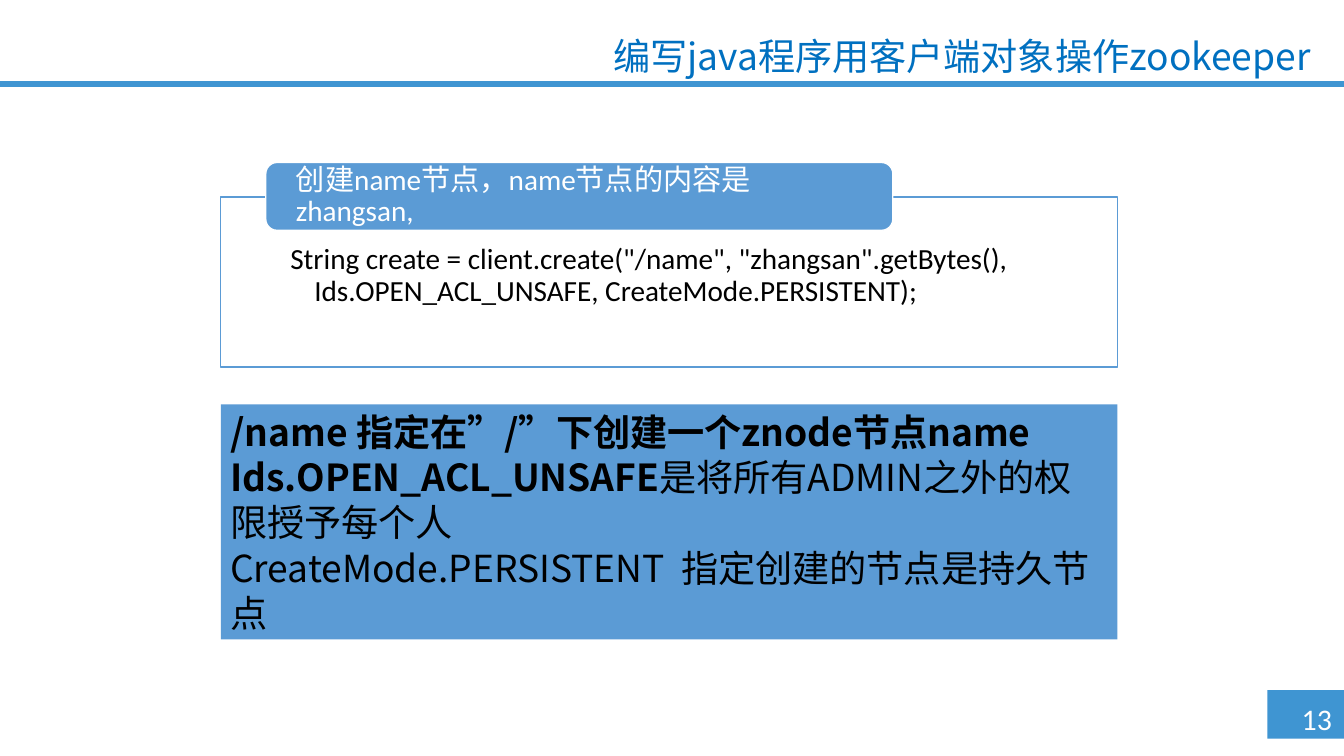
from pptx import Presentation
from pptx.dml.color import RGBColor
from pptx.enum import shapes, text
from pptx.oxml import ns
from pptx.util import Pt
from lxml import etree

COLORS = {
    "bar": "3F95D2",
    "panel": "5B9BD5",
    "title": "0070C0",
    "white": "FFFFFF",
    "black": "000000",
}
LATIN = "Calibri"
HAN = "Noto Sans CJK SC"
LEFT, WIDTH = 166.3, 675.4


def color(name):
    return RGBColor.from_string(COLORS[name])


def write(shape, paras, size=22, font=LATIN, ink="black", align="LEFT",
          anchor="TOP", insets=(7.2, 3.6, 7.2, 3.6), spacing=None,
          hang=0, wrap=True):
    """Fill a shape with paragraphs, each a list of (words, bold) runs."""
    frame = shape.text_frame
    frame.auto_size = text.MSO_AUTO_SIZE.NONE
    frame.word_wrap = wrap
    frame.vertical_anchor = text.MSO_ANCHOR[anchor]
    (frame.margin_left, frame.margin_top,
     frame.margin_right, frame.margin_bottom) = map(Pt, insets)
    for i, runs in enumerate(paras):
        para = frame.add_paragraph() if i else frame.paragraphs[0]
        para.alignment = text.PP_ALIGN[align]
        para.line_spacing = spacing
        if hang:
            props = para._p.get_or_add_pPr()
            props.set("marL", str(Pt(hang)))
            props.set("indent", str(Pt(-hang)))
        for words, bold in runs:
            run = para.add_run()
            run.text = words
            run.font.size = Pt(size)
            run.font.bold = bold
            run.font.name = font
            run.font.color.rgb = color(ink)
            east = etree.SubElement(run._r.get_or_add_rPr(), ns.qn("a:ea"))
            east.set("typeface", HAN)


def block(slide, box, fill, line=None, kind="RECTANGLE"):
    shape = slide.shapes.add_shape(
        shapes.MSO_SHAPE[kind], *map(Pt, box))
    shape.shadow.inherit = False
    shape.fill.solid()
    shape.fill.fore_color.rgb = color(fill)
    if line:
        shape.line.color.rgb = color(line)
        shape.line.width = Pt(1)
    else:
        shape.line.fill.background()
    return shape


def head(slide, words):
    title = slide.shapes.title
    title.left, title.top, title.width, title.height = map(
        Pt, (393, 23.8, 601.2, 28.8))
    write(title, [[(words, False)]], size=28, font=HAN, ink="title",
          align="RIGHT", spacing=Pt(31))


def number(slide, words):
    block(slide, (954.7, 519.8, 57.6, 36.7), "bar")
    box = slide.shapes.add_textbox(*map(Pt, (973.4, 524.2, 46.8, 34.6)))
    write(box, [[(words, False)]], size=22.5, ink="white", wrap=False)


def sample(slide, label, code):
    """Draw a framed code sample with a label on its top edge."""
    card = block(slide, (LEFT, 148.3, WIDTH, 128.2), "white", "panel")
    write(card, [[(code, False)]], insets=(52.4, 36, 52.4, 12),
          spacing=0.9, hang=18)
    tag = block(slide, (200.2, 122.4, 472.3, 51.1), "panel", "white",
                "ROUNDED_RECTANGLE")
    write(tag, [[(label, False)]], ink="white", anchor="MIDDLE",
          insets=(20.2, 0, 20.2, 0), spacing=0.9)


def main():
    deck = Presentation()
    deck.slide_width, deck.slide_height = Pt(1012.3), Pt(569.5)
    slide = deck.slides.add_slide(deck.slide_layouts.get_by_name("Title Only"))

    block(slide, (0, 61.2, 1012.3, 4.3), "bar")
    head(slide, "编写java程序用客户端对象操作zookeeper")
    sample(slide, "创建name节点，name节点的内容是zhangsan,",
           'String create = client.create("/name", "zhangsan".getBytes(), '
           "Ids.OPEN_ACL_UNSAFE, CreateMode.PERSISTENT);")
    notes = block(slide, (LEFT, 304.6, WIDTH, 177.1), "panel")
    write(notes, [
        [("/name 指定在”/”下创建一个znode节点name", True)],
        [("Ids.OPEN_ACL_UNSAFE", True),
         ("是将所有ADMIN之外的权限授予每个人", False)],
        [("CreateMode.PERSISTENT  指定创建的节点是持久节点", False)],
    ], size=28, font=HAN, spacing=Pt(34))
    number(slide, "13")
    deck.save("out.pptx")


if __name__ == "__main__":
    main()
